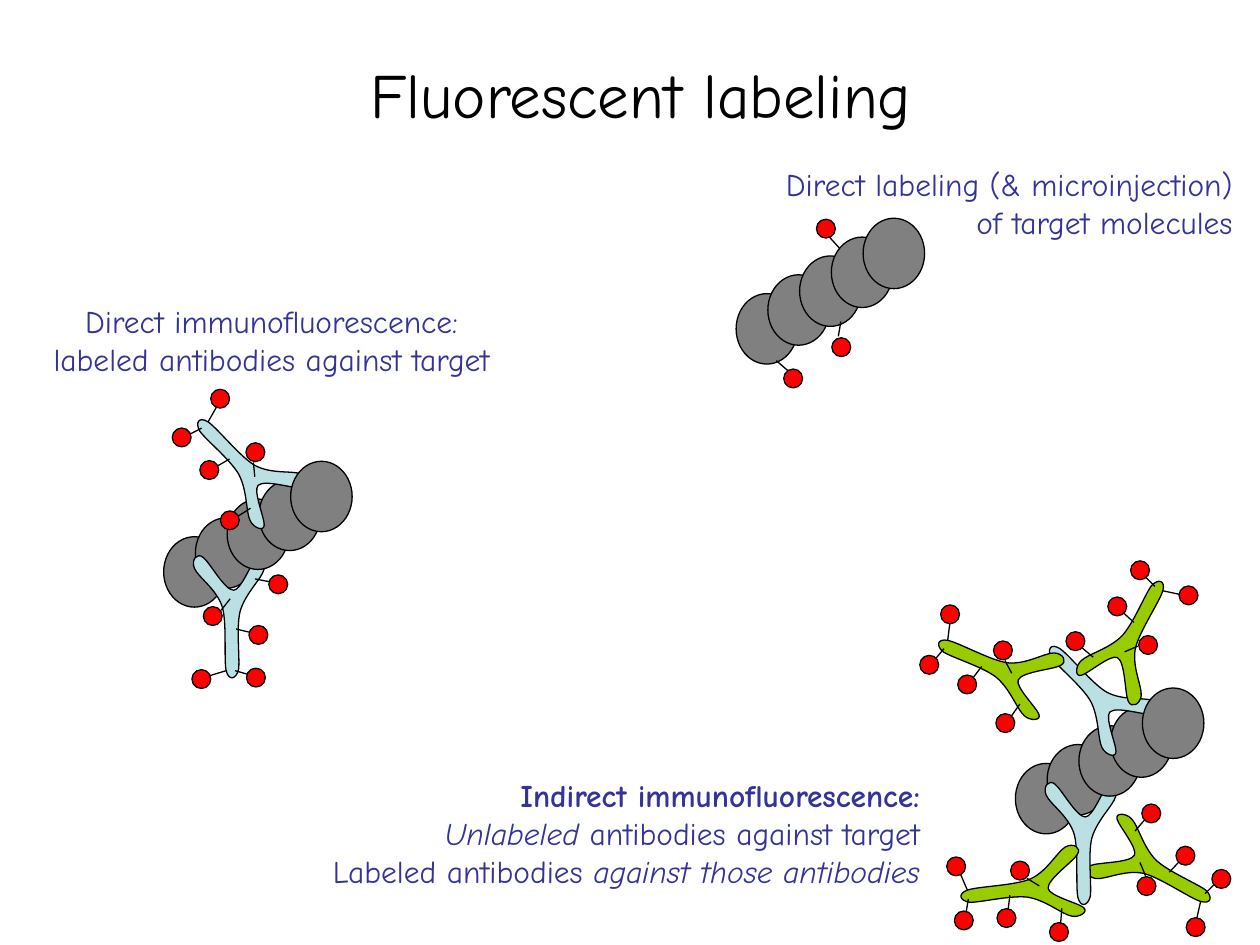
import math

import pptx
import pptx.dml.color
import pptx.enum.shapes
import pptx.enum.text
import pptx.oxml.ns
import pptx.oxml.xmlchemy
import pptx.util

Cm = pptx.util.Cm
Pt = pptx.util.Pt
SHAPE = pptx.enum.shapes.MSO_SHAPE
ALIGN = pptx.enum.text.PP_ALIGN
qn = pptx.oxml.ns.qn
OxmlElement = pptx.oxml.xmlchemy.OxmlElement

COLORS = {
    "title": "000000", "text": "333399", "outline": "000000", "dye": "FF0000",
    "target": "808080", "primary": "BBE0E3", "secondary": "99CC00",
}
FONT = "Comic Neue"

TITLE = ([[("Fluorescent labeling", "")]], (2.34, 1.17, 21.16, 1.63))
CAPTIONS = [
    ([[("Direct labeling (& microinjection)", "")],
      [("of target molecules", "")]],
     (14.94, 3.2, 10.16, 1.85), ALIGN.RIGHT),
    ([[("Direct immunofluorescence:", "")],
      [("labeled antibodies against target", "")]],
     (0.38, 5.97, 10.19, 1.85), ALIGN.CENTER),
    ([[("Indirect immunofluorescence:", "b")],
      [("Unlabeled", "i"), (" antibodies against target", "")],
      [("Labeled antibodies ", ""), ("against those antibodies", "i")]],
     (5.64, 15.52, 13.16, 2.67), ALIGN.RIGHT),
]

BALL = (1.24, 1.42)
BALL_STEP = (0.64, -0.38)
DYE = (0.38, 0.38)

ANTIBODY_START = (-0.69, -0.97)
ANTIBODY_CURVES = [
    ((-0.61, -0.79), (-0.25, -0.56), (-0.13, -0.2)),
    ((-0.03, 0.13), (-0.1, 0.86), (-0.05, 1.09)),
    ((0, 1.3), (0.15, 1.27), (0.2, 1.07)),
    ((0.23, 0.86), (0.15, 0.23), (0.23, -0.1)),
    ((0.33, -0.46), (0.66, -0.76), (0.71, -0.94)),
    ((0.76, -1.09), (0.66, -1.3), (0.56, -1.19)),
    ((0.46, -1.09), (0.25, -0.53), (0.1, -0.53)),
    ((-0.08, -0.53), (-0.38, -1.09), (-0.51, -1.19)),
    ((-0.64, -1.3), (-0.76, -1.14), ANTIBODY_START),
]

ANTIBODY_LABELS = [
    [(-0.55, 1.26)],
    [(-0.38, 1.19), (-0.05, 1.09)],
    [(0.15, 0.25), (0.48, 0.33)],
    [(-0.32, -0.01)],
    [(-0.15, -0.13), (0.03, -0.36)],
    [(0.13, 1.09), (0.41, 1.17)],
    [(0.55, 1.23)],
    [(0.6, 0.37)],
    [(0.53, -0.76), (0.89, -0.69)],
    [(1, -0.65)],
]
TARGET_LABELS = [
    [(0.53, 1)],
    [(0.42, 0.84), (0.19, 0.64)],
    [(1.5, 0.37)],
    [(1.44, 0.15), (1.49, -0.15)],
    [(1.19, -2.02)],
    [(1.46, -1.63), (1.26, -1.85)],
]

PRIMARIES = {2: (0.69, 0.9, 0), 4: (0.99, -2.2, 136.4)}
INJECTED_TARGET = (15.46, 6.63)
DIRECT_TARGET = (3.92, 11.53)
INDIRECT_TARGET = (21.09, 16.1)
SECONDARIES = [
    (23.28, 17.59, 299.6), (22.87, 12.84, 208.9),
    (20.08, 13.4, 114), (20.59, 17.87, 83.5),
]


def rgb(name):
    return pptx.dml.color.RGBColor.from_string(COLORS[name])


def write(tf, paragraphs, *, size, color, align, spacing=None, wrap=False):
    tf.word_wrap = wrap
    for i, runs in enumerate(paragraphs):
        p = tf.paragraphs[0] if i == 0 else tf.add_paragraph()
        p.alignment = align
        if spacing:
            p.line_spacing = spacing
        for text, style in runs:
            r = p.add_run()
            r.text = text
            r.font.name = FONT
            r.font.size = Pt(size)
            r.font.bold = "b" in style
            r.font.italic = "i" in style
            r.font.color.rgb = rgb(color)


def paint(sp, fill):
    sp.shadow.inherit = False
    sp.fill.solid()
    sp.fill.fore_color.rgb = rgb(fill)
    sp.line.color.rgb = rgb("outline")
    sp.line.width = Pt(0.75)


def add_oval(s, center, size, fill):
    (x, y), (w, h) = center, size
    sp = s.shapes.add_shape(SHAPE.OVAL, Cm(x - w / 2), Cm(y - h / 2), Cm(w), Cm(h))
    paint(sp, fill)


def add_stem(s, start, end):
    line = s.shapes.add_connector(
        pptx.enum.shapes.MSO_CONNECTOR.STRAIGHT, *[Cm(v) for v in (*start, *end)])
    line.line.color.rgb = rgb("outline")
    line.line.width = Pt(0.75)
    line._element.spPr.append(OxmlElement("a:effectLst"))


def place(point, origin, angle=0):
    (x, y), a = point, math.radians(angle)
    return (origin[0] + x * math.cos(a) - y * math.sin(a),
            origin[1] + x * math.sin(a) + y * math.cos(a))


def add_labels(s, labels, origin, angle=0):
    for label in labels:
        points = [place(point, origin, angle) for point in label]
        if len(points) == 1:
            add_oval(s, points[0], DYE, "dye")
        else:
            add_stem(s, *points)


def add_antibody(s, x, y, angle, fill, labeled):
    def at(point):
        return tuple(Cm(v) for v in place(point, (x, y)))

    builder = s.shapes.build_freeform(*at(ANTIBODY_START))
    builder.add_line_segments([at(pt) for curve in ANTIBODY_CURVES for pt in curve])
    sp = builder.convert_to_shape()
    segments = list(sp._element.iter(qn("a:lnTo")))
    for i in range(0, len(ANTIBODY_CURVES) * 3, 3):
        curve = OxmlElement("a:cubicBezTo")
        segments[i].addprevious(curve)
        for segment in segments[i:i + 3]:
            curve.append(segment[0])
            segment.getparent().remove(segment)
    sp.rotation = angle
    paint(sp, fill)
    if labeled:
        add_labels(s, ANTIBODY_LABELS, (x, y), angle)


def add_target(s, origin, primaries, labeled=False):
    for i in range(5):
        if i in primaries:
            dx, dy, angle = primaries[i]
            add_antibody(s, origin[0] + dx, origin[1] + dy, angle, "primary", labeled)
        add_oval(s, place((i * BALL_STEP[0], i * BALL_STEP[1]), origin), BALL, "target")


def main():
    prs = pptx.Presentation()
    prs.slide_width, prs.slide_height = Cm(25.4), Cm(19.05)
    s = prs.slides.add_slide(prs.slide_layouts[5])

    paragraphs, box = TITLE
    title = s.shapes.title
    title.left, title.top, title.width, title.height = [Cm(v) for v in box]
    title.text_frame.auto_size = pptx.enum.text.MSO_AUTO_SIZE.NONE
    write(title.text_frame, paragraphs, size=36, color="title",
          align=ALIGN.CENTER, spacing=0.9, wrap=True)

    for paragraphs, box, align in CAPTIONS:
        tb = s.shapes.add_textbox(*[Cm(v) for v in box])
        write(tb.text_frame, paragraphs, size=18, color="text", align=align)

    add_target(s, INJECTED_TARGET, {})
    add_labels(s, TARGET_LABELS, INJECTED_TARGET)
    add_target(s, DIRECT_TARGET, PRIMARIES, labeled=True)

    add_antibody(s, *SECONDARIES[0], "secondary", True)
    add_target(s, INDIRECT_TARGET, PRIMARIES)
    for secondary in SECONDARIES[1:]:
        add_antibody(s, *secondary, "secondary", True)

    prs.save("out.pptx")


if __name__ == "__main__":
    main()
